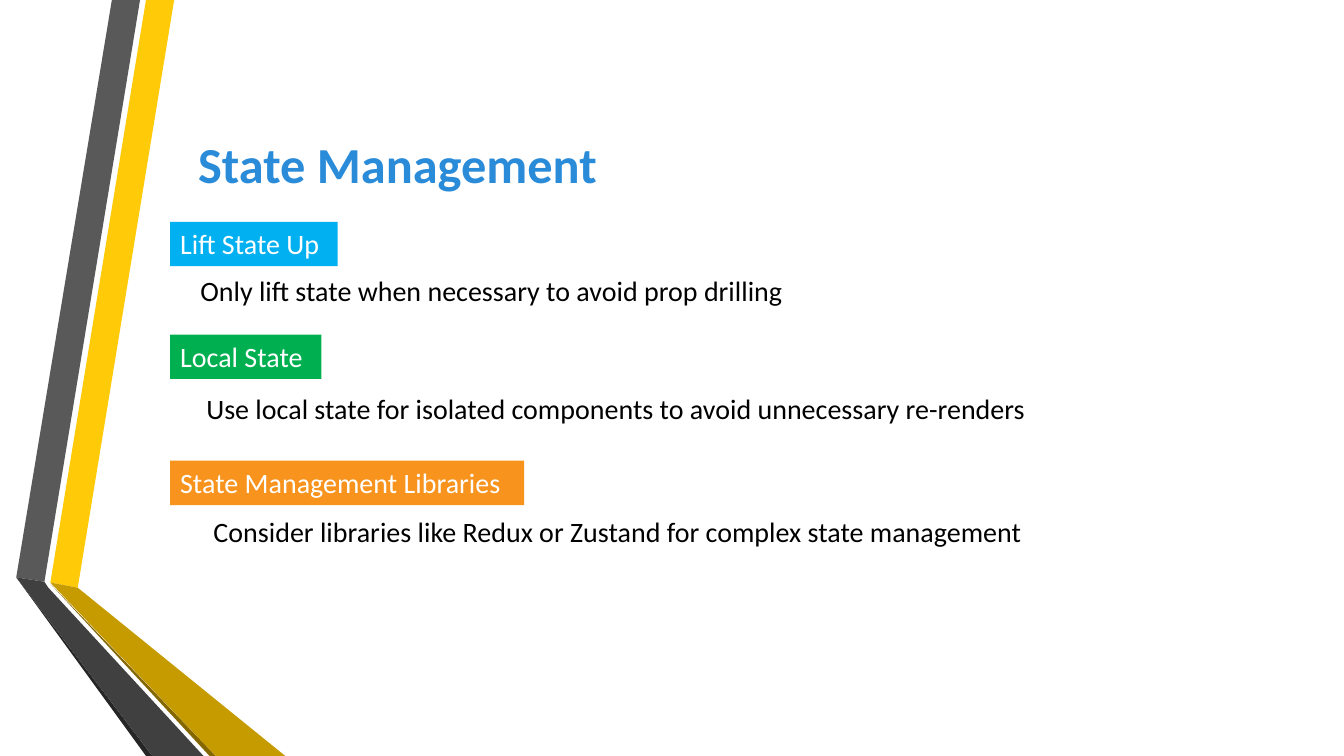
"""Build the State Management slide."""
from dataclasses import dataclass

from pptx import Presentation
from pptx import util as u
from pptx.dml.color import RGBColor
from pptx.enum import shapes, text


@dataclass(frozen=True)
class Theme:
    """Colours, font and type sizes of the slide."""
    font: str = "Calibri"
    title_size: int = 36
    body_size: int = 20
    title: str = "2A8BD9"
    body: str = "000000"
    label: str = "FFFFFF"
    blue: str = "00B0F0"
    green: str = "00B050"
    orange: str = "F8931D"
    yellow: str = "FFCA08"
    gold: str = "C59B00"
    dark_gold: str = "846700"
    grey: str = "595959"
    dark_grey: str = "404040"
    charcoal: str = "262626"


THEME = Theme()
WIDTH, BOTTOM = 33.87, 19.05
LABEL_LEFT, LINE_HEIGHT = 4.29, 1.12

RIBBONS = [
    (THEME.yellow, [(1.27, 14.68), (1.96, 14.81), (4.39, 0), (3.68, 0)]),
    (THEME.grey, [(3.53, 0), (2.82, 0), (0.41, 14.55), (1.12, 14.66)]),
    (THEME.charcoal, [(0.41, 14.55), (3.68, BOTTOM), (3.84, BOTTOM)]),
    (THEME.dark_gold, [(1.27, 14.71), (5.28, BOTTOM), (5.44, BOTTOM)]),
    (THEME.gold, [(1.27, 14.68), (5.44, BOTTOM), (7.19, BOTTOM), (1.96, 14.81)]),
    (THEME.dark_grey, [(5.13, BOTTOM), (1.22, 14.81), (1.12, 14.66), (0.41, 14.55), (3.84, BOTTOM)]),
]

TOPICS = [
    ("Lift State Up", THEME.blue, 5.59, 4.22,
     "Only lift state when necessary to avoid prop drilling", (4.8, 6.76, 15.52)),
    ("Local State", THEME.green, 8.43, 3.81,
     "Use local state for isolated components to avoid unnecessary re-renders", (4.95, 9.75, 21.59)),
    ("State Management Libraries", THEME.orange, 11.61, 8.92,
     "Consider libraries like Redux or Zustand for complex state management", (5.13, 12.85, 21.46)),
]


def paint(shape, colour):
    """Give a shape a plain fill without line or shadow."""
    shape.shadow.inherit = False
    shape.fill.solid()
    shape.fill.fore_color.rgb = RGBColor.from_string(colour)
    shape.line.fill.background()


def add_ribbon(slide, colour, points):
    """Draw one closed ribbon through points given in centimetres."""
    start, *others = [(u.Cm(x), u.Cm(y)) for x, y in points]
    builder = slide.shapes.build_freeform(*start)
    builder.add_line_segments(others)
    paint(builder.convert_to_shape(), colour)


def write(shape, words, colour, size=THEME.body_size, bold=False, align=text.PP_ALIGN.LEFT):
    """Write one paragraph into a shape."""
    paragraph = shape.text_frame.paragraphs[0]
    paragraph.text = words
    paragraph.alignment = align
    paragraph.font.name = THEME.font
    paragraph.font.size = u.Pt(size)
    paragraph.font.bold = bold
    paragraph.font.color.rgb = RGBColor.from_string(colour)


def fit_line(shape):
    """Keep the text on one line and fit the shape to it."""
    shape.text_frame.word_wrap = False
    shape.text_frame.auto_size = text.MSO_AUTO_SIZE.SHAPE_TO_FIT_TEXT
    shape.text_frame.vertical_anchor = text.MSO_ANCHOR.TOP


def add_title(slide, words):
    """Add the slide heading."""
    box = slide.shapes.add_textbox(u.Cm(LABEL_LEFT), u.Cm(3.12), u.Cm(11.46), u.Cm(1.98))
    box.text_frame.word_wrap = True
    box.text_frame.vertical_anchor = text.MSO_ANCHOR.MIDDLE
    write(box, words, THEME.title, THEME.title_size, True, text.PP_ALIGN.CENTER)


def add_label(slide, words, colour, top, width):
    """Add a coloured topic label."""
    label = slide.shapes.add_shape(shapes.MSO_SHAPE.RECTANGLE, u.Cm(LABEL_LEFT), u.Cm(top),
                                   u.Cm(width), u.Cm(LINE_HEIGHT))
    paint(label, colour)
    write(label, words, THEME.label)
    fit_line(label)


def add_advice(slide, words, left, top, width):
    """Add the line of advice below a label."""
    box = slide.shapes.add_textbox(u.Cm(left), u.Cm(top), u.Cm(width), u.Cm(LINE_HEIGHT))
    write(box, words, THEME.body)
    fit_line(box)


def main():
    """Build and save the presentation."""
    presentation = Presentation()
    presentation.slide_width, presentation.slide_height = u.Cm(WIDTH), u.Cm(BOTTOM)
    slide = presentation.slides.add_slide(presentation.slide_layouts[6])
    for colour, points in RIBBONS:
        add_ribbon(slide, colour, points)
    add_title(slide, "State Management")
    for name, colour, top, width, advice, place in TOPICS:
        add_label(slide, name, colour, top, width)
        add_advice(slide, advice, *place)
    presentation.save("out.pptx")


if __name__ == "__main__":
    main()
